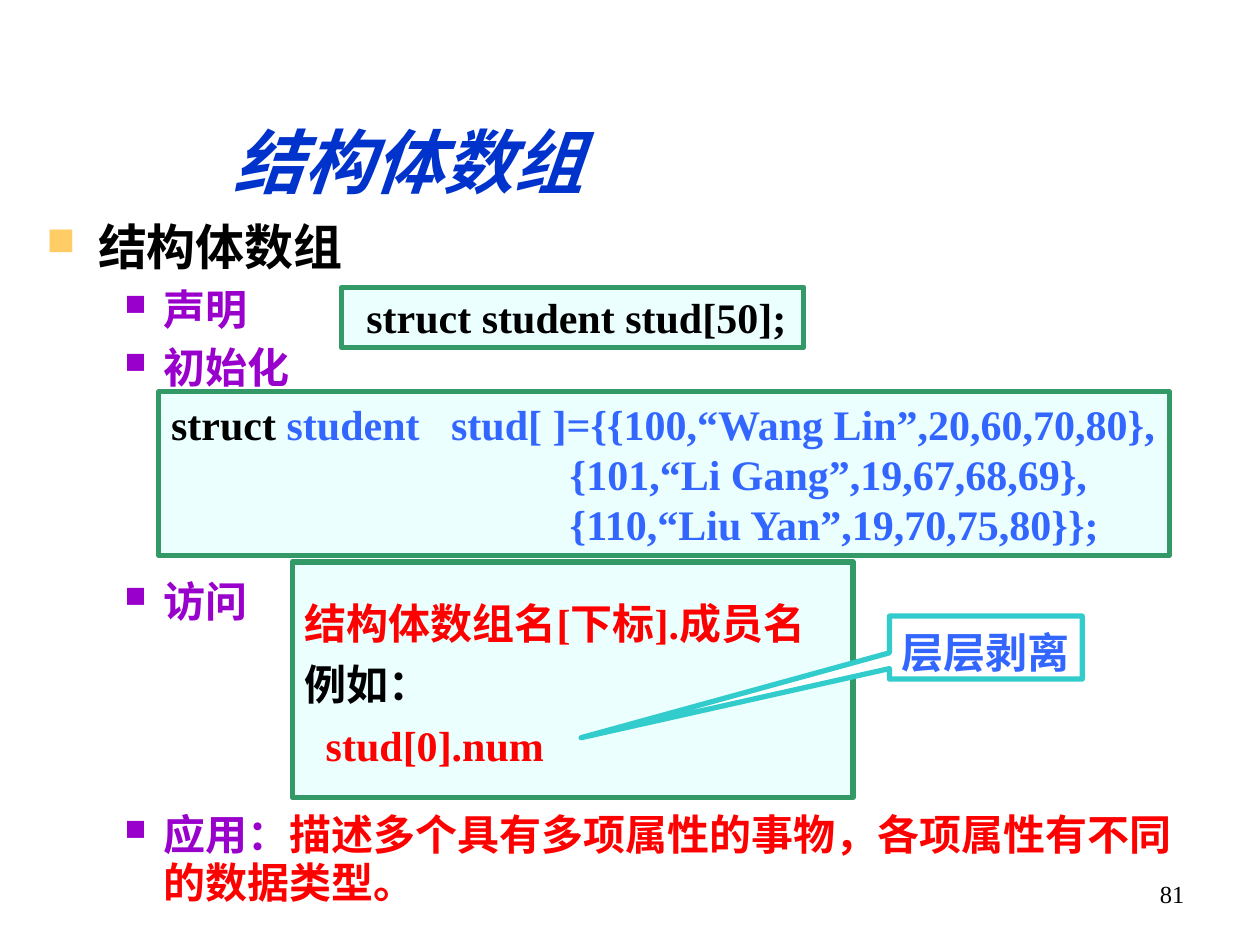
import dataclasses

import lxml.etree
import pptx
import pptx.dml.color
import pptx.enum.shapes
import pptx.enum.text
import pptx.oxml.ns
import pptx.util

COLORS = {
    "ink": "000000", "title": "0033CC", "violet": "9900CC", "red": "FF0000",
    "blue": "3366FF", "gold": "FFCC66", "mint": "EBFFFF", "green": "339966",
    "teal": "33CCCC", "white": "FFFFFF",
}
LATIN, CJK = "Times New Roman", "Noto Sans CJK SC"
COLUMNS, ROWS = 100, 75
WIDTH, HEIGHT = pptx.util.Inches(10), pptx.util.Inches(7.5)
LEVELS = {
    0: {"margin": 0.41, "hang": 0.41, "size": 28, "line": 31.9, "bullet": "gold", "scale": 80},
    1: {"margin": 0.93, "hang": 0.31, "size": 24, "line": 27.4, "bullet": "violet", "scale": 70},
}
LATIN_INSETS = (0.1, 0.05, 0.1, 0.05)
CJK_INSETS = (0.1, 0.08, 0.1, 0.02)


@dataclasses.dataclass
class Box:
    """A rectangle measured in columns and rows of the slide grid."""
    left: float
    top: float
    width: float
    height: float

    def inner(self, left, top, width, height):
        """Return a box placed relative to this one."""
        return Box(self.left + left, self.top + top, width, height)

    def lengths(self):
        """Return left, top, width and height as slide lengths."""
        column, row = WIDTH / COLUMNS, HEIGHT / ROWS
        return [round(self.left * column), round(self.top * row),
                round(self.width * column), round(self.height * row)]


def rgb(name):
    """Look up a named colour."""
    return pptx.dml.color.RGBColor.from_string(COLORS[name])


def set_frame(frame, insets, wrap=True, anchor="TOP"):
    """Set insets, wrapping and anchoring of a text frame."""
    frame.margin_left, frame.margin_top, frame.margin_right, frame.margin_bottom = map(
        pptx.util.Inches, insets)
    frame.word_wrap = wrap
    frame.auto_size = pptx.enum.text.MSO_AUTO_SIZE.NONE
    frame.vertical_anchor = pptx.enum.text.MSO_ANCHOR[anchor]


def add_child(parent, tag, **attributes):
    """Append a drawing element to an XML parent."""
    return lxml.etree.SubElement(parent, pptx.oxml.ns.qn(tag), attributes)


def set_indent(para, margin, hang):
    """Set the left margin and the hanging indent in inches."""
    properties = para._p.get_or_add_pPr()
    properties.set("marL", str(pptx.util.Inches(margin)))
    properties.set("indent", str(-pptx.util.Inches(hang)))
    return properties


def set_bullet(para, level):
    """Give a paragraph the square bullet of its level."""
    properties = set_indent(para, level["margin"], level["hang"])
    add_child(add_child(properties, "a:buClr"), "a:srgbClr", val=COLORS[level["bullet"]])
    add_child(properties, "a:buSzPct", val=str(level["scale"] * 1000))
    add_child(properties, "a:buChar", char="■")


def write(para, spans, size, line, face=LATIN, bold=True, before=0):
    """Fill a paragraph with (text, colour) spans in one font."""
    para.line_spacing = pptx.util.Pt(line)
    para.space_before = pptx.util.Pt(before)
    para.font.size, para.font.bold, para.font.name = pptx.util.Pt(size), bold, face
    for text, color in spans:
        span = para.add_run()
        span.text = text
        span.font.color.rgb = rgb(color)
        add_child(span._r.get_or_add_rPr(), "a:ea", typeface=CJK)


def paragraphs(frame, count):
    """Return the given number of paragraphs of an empty frame."""
    return [frame.paragraphs[0]] + [frame.add_paragraph() for _ in range(count - 1)]


def add_panel(page, box, insets, wrap=True, kind="RECTANGLE", fill="mint", edge="green"):
    """Add an outlined panel with room for text."""
    panel = page.shapes.add_shape(
        pptx.enum.shapes.MSO_SHAPE[kind], *box.lengths())
    panel.shadow.inherit = False
    panel.fill.solid()
    panel.fill.fore_color.rgb = rgb(fill)
    panel.line.color.rgb = rgb(edge)
    panel.line.width = pptx.util.Pt(3)
    set_frame(panel.text_frame, insets, wrap, "MIDDLE")
    return panel


def fill_panel(panel, lines, line=28.8, margin=0, hang=0, before=0):
    """Write one left-aligned paragraph for each list of spans."""
    for index, para in enumerate(paragraphs(panel.text_frame, len(lines))):
        para.alignment = pptx.enum.text.PP_ALIGN.LEFT
        set_indent(para, margin, hang)
        write(para, lines[index], 24, line, before=before if index else 0)


def build_title(page, box):
    """Place the slide title."""
    title = page.shapes.title
    title.left, title.top, title.width, title.height = box.lengths()
    set_frame(title.text_frame, (0, 0.07, 0, 0))
    para = title.text_frame.paragraphs[0]
    para.alignment = pptx.enum.text.PP_ALIGN.CENTER
    write(para, [("结构体数组", "title")], 40, 48)
    para.font.italic = True


def build_outline(page, box):
    """Place the bulleted outline, leaving room for the panels."""
    items = [
        (0, 0, [("结构体数组", "ink")]),
        (1, 6, [("声明", "violet")]),
        (1, 6, [("初始化", "violet")]),
        (1, 106, [("访问", "violet")]),
        (1, 106, [("应用：", "violet"),
                  ("描述多个具有多项属性的事物，各项属性有不同的数据类型。", "red")]),
    ]
    frame = page.shapes.add_textbox(*box.lengths()).text_frame
    set_frame(frame, (0.1, 0.07, 0.1, 0.05))
    for para, (depth, before, spans) in zip(paragraphs(frame, len(items)), items):
        level = LEVELS[depth]
        para.level = depth
        set_bullet(para, level)
        write(para, spans, level["size"], level["line"], CJK, before=before)


def build_panels(page, box):
    """Place the code panels and the callout beside the outline."""
    start = add_panel(page, box.inner(9.9, 14.4, 80.2, 13), LATIN_INSETS, wrap=False)
    pad = " " * 38
    fill_panel(start, [
        [("struct ", "ink"), ("student   stud[ ]={{100,“Wang Lin”,20,60,70,80},", "blue")],
        [(pad + "{101,“Li Gang”,19,67,68,69},", "blue")],
        [(pad + "{110,“Liu Yan”,19,70,75,80}};", "blue")],
    ])
    access = add_panel(page, box.inner(20.5, 27.9, 44.5, 18.7), CJK_INSETS)
    fill_panel(access, [
        [("结构体数组名[下标].成员名", "red")],
        [("例如：", "ink")],
        [("  stud[0].num", "red")],
    ], margin=0.02, hang=0.02, before=6)
    declare = add_panel(page, box.inner(24.4, 6.1, 36.7, 4.8), LATIN_INSETS)
    fill_panel(declare, [[("struct student stud[50];", "ink")]], line=27.4, margin=0.1)
    callout = add_panel(page, box.inner(67.9, 32.2, 15.3, 5), CJK_INSETS, wrap=False,
                        kind="RECTANGULAR_CALLOUT", fill="white", edge="teal")
    callout.adjustments[0], callout.adjustments[1] = -2.1, 1.43
    fill_panel(callout, [[("层层剥离", "blue")]])


def build_number(page, box):
    """Place the page number."""
    frame = page.shapes.add_textbox(*box.lengths()).text_frame
    set_frame(frame, LATIN_INSETS)
    para = frame.paragraphs[0]
    para.alignment = pptx.enum.text.PP_ALIGN.RIGHT
    write(para, [("81", "ink")], 14, 16.8, bold=False)


def main():
    """Build the deck and save it."""
    deck = pptx.Presentation()
    deck.slide_width, deck.slide_height = WIDTH, HEIGHT
    page = deck.slides.add_slide(deck.slide_layouts[5])
    content = Box(2.7, 16.7, 91.9, 14.8)
    build_number(page, Box(71.7, 69.3, 23.3, 5.2))
    build_outline(page, content)
    build_panels(page, content)
    build_title(page, Box(14.8, 8.7, 35.2, 6.8))
    deck.save("out.pptx")


if __name__ == "__main__":
    main()
